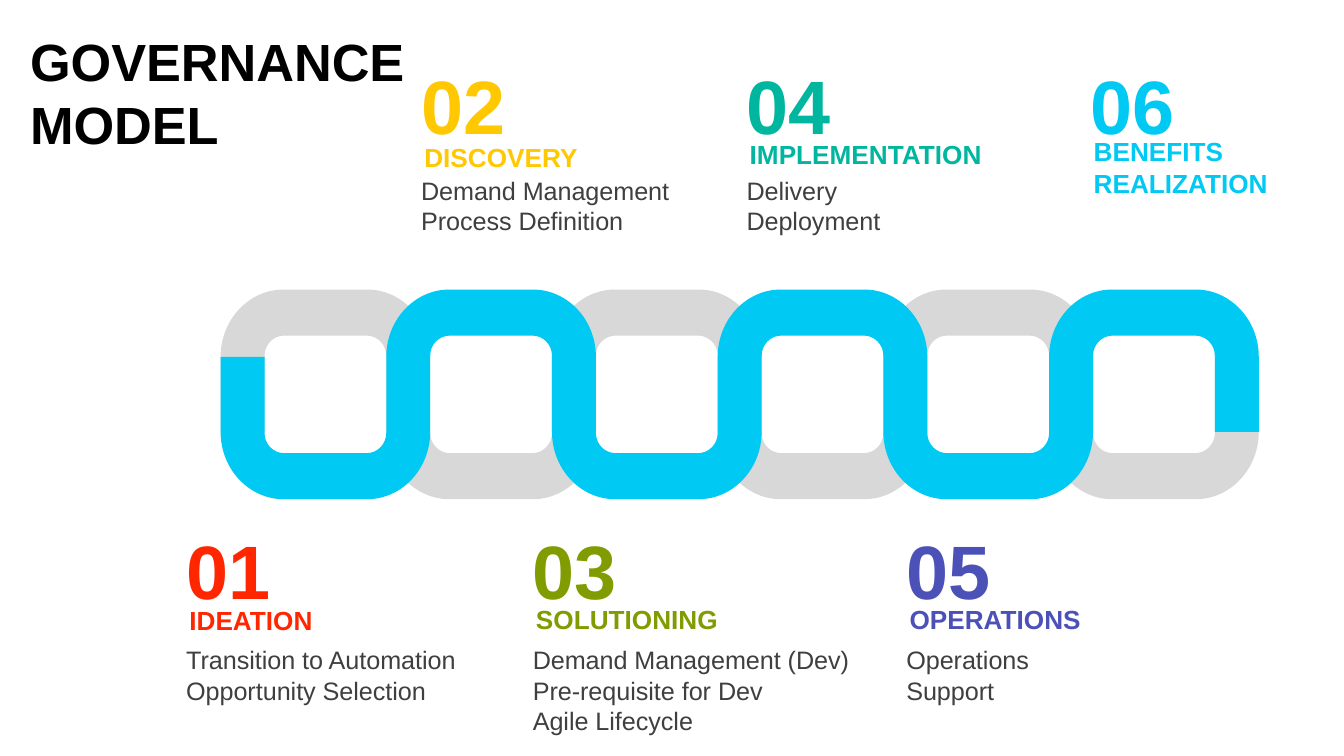
from lxml import etree
from pptx import Presentation
from pptx.dml.color import RGBColor
from pptx.enum.text import MSO_ANCHOR, MSO_AUTO_SIZE, PP_ALIGN
from pptx.oxml.ns import qn
from pptx.util import Cm, Pt

FONT = "Arial"
BLUE, GREY, DARK = "00C9F3", "D8D8D8", "3F3F3F"

# Each step: number, label, colour, body lines, left, body width, label width, label drop
UPPER_STEPS = [
    ("02", ["DISCOVERY"], "FFC801", ["Demand Management Process Definition"], 7.77, 5.36, 3.45, 1.53),
    ("04", ["IMPLEMENTATION"], "00B69F", ["Delivery", "Deployment"], 13.92, 4.45, 5.0, 1.47),
    ("06", ["BENEFITS", "REALIZATION"], BLUE, [], 20.42, 3.18, 3.86, 1.41),
]
LOWER_STEPS = [
    ("01", ["IDEATION"], "FF2600", ["Transition to Automation", "Opportunity Selection"],
     3.33, 5.66, 2.9, 1.48),
    ("03", ["SOLUTIONING"], "809C00",
     ["Demand Management (Dev)", "Pre-requisite for Dev", "Agile Lifecycle"], 9.88, 7.09, 3.96, 1.47),
    ("05", ["OPERATIONS"], "4C51B8", ["Operations", "Support"], 16.94, 4.45, 3.81, 1.47),
]


def colour(value):
    return RGBColor.from_string(value)


def write(box, lines, size, color, bold=False, inset=(0.19, 0.1), wrap=True):
    frame = box.text_frame
    frame.word_wrap = wrap
    frame.auto_size = MSO_AUTO_SIZE.NONE if wrap else MSO_AUTO_SIZE.SHAPE_TO_FIT_TEXT
    frame.vertical_anchor = MSO_ANCHOR.TOP
    frame.margin_left = frame.margin_right = Cm(inset[0])
    frame.margin_top = frame.margin_bottom = Cm(inset[1])
    for index, line in enumerate(lines):
        para = frame.add_paragraph() if index else frame.paragraphs[0]
        para.alignment = PP_ALIGN.LEFT
        para.line_spacing = 1.0
        para.space_before = para.space_after = Pt(0)
        span = para.add_run()
        span.text = line
        span.font.name = FONT
        span.font.size = Pt(size)
        span.font.bold = bold
        span.font.color.rgb = colour(color)


def add_text(page, left, top, width, height, lines, **style):
    box = page.shapes.add_textbox(Cm(left), Cm(top), Cm(width), Cm(height))
    write(box, lines, **style)


def add_title(page, left, top, width, height):
    title = page.shapes.title
    title.left, title.top, title.width, title.height = map(Cm, (left, top, width, height))
    write(title, ["GOVERNANCE", "MODEL"], size=28, color="000000", bold=True, inset=(0.25, 0.25))


def line_to(points, end):
    """Extend a chain of cubic curves by a straight stretch."""
    points += [points[-1], end, end]


def curve_to(points, corner, end):
    """Extend a chain of cubic curves by a quarter ellipse around a corner."""
    for anchor in (points[-1], end):
        points.append(tuple(a + 0.55 * (c - a) for a, c in zip(anchor, corner)))
    points.append(end)


def add_bend(points, left, right, edge, radius_x, radius_y, side):
    """Add a U from left to right; side is 1 for a U at the bottom, -1 at the top."""
    shoulder = edge - side * radius_y
    line_to(points, (left, shoulder))
    curve_to(points, (left, edge), (left + radius_x, edge))
    line_to(points, (right - radius_x, edge))
    curve_to(points, (right, edge), (right, shoulder))


def make_curves(shape):
    """Turn each three line segments of a freeform into one cubic curve."""
    lines = list(shape._element.iter(qn("a:lnTo")))
    for first, second, third in zip(lines[::3], lines[1::3], lines[2::3]):
        curve = etree.Element(qn("a:cubicBezTo"))
        first.addprevious(curve)
        for line in (first, second, third):
            curve.append(line[0])
            line.getparent().remove(line)


def add_band(page, left, top, width, height, color, first_side):
    """A ribbon weaving through six links, alternating bottom and top bends."""
    links, band_x, band_y, radius_y = 6, 0.83, 0.87, 1.27
    pitch = (width - band_x) / links
    near, far = top + radius_y, top + height - radius_y
    start, finish = (near, far) if first_side > 0 else (far, near)
    edges = [[(left, start)], [(left + band_x, start)]]
    side = first_side
    for link in range(links):
        x = left + link * pitch
        base = top + height if side > 0 else top
        add_bend(edges[link % 2], x, x + pitch + band_x, base, 1.19, radius_y, side)
        add_bend(edges[1 - link % 2], x + band_x, x + pitch, base - side * band_y, 0.37, 0.38, side)
        side = -side
    for edge in edges:
        line_to(edge, (edge[-1][0], finish))

    # One edge forward, the other one back
    outline, back = edges[0], edges[1][::-1]
    line_to(outline, back[0])
    outline = [(Cm(x), Cm(y)) for x, y in outline + back[1:]]

    builder = page.shapes.build_freeform(*outline[0])
    builder.add_line_segments(outline[1:], close=True)
    band = builder.convert_to_shape()
    make_curves(band)
    band.shadow.inherit = False
    band.fill.solid()
    band.fill.fore_color.rgb = colour(color)
    band.line.fill.background()


def add_step(page, top, body_drop, step):
    number, label, color, body, left, width, label_width, label_drop = step
    if body:
        add_text(page, left, top + body_drop, width, 1.93, body, size=13.5, color=DARK)
    add_text(page, left, top, width, 1.93, [number], size=40.5, color=color, bold=True)
    add_text(page, left, top + label_drop, label_width, 0.86 if len(label) == 1 else 1.45, label,
             size=14, color=color, bold=True, inset=(0.25, 0.13), wrap=False)


def main():
    deck = Presentation()
    deck.slide_width, deck.slide_height = Cm(25.4), Cm(14.28)
    page = deck.slides.add_slide(deck.slide_layouts[5])
    add_title(page, 0.32, 0.3, 8.15, 1.6)

    # Woven chain
    for color, first_side in ((GREY, -1), (BLUE, 1)):
        add_band(page, 4.17, 5.47, 19.62, 3.96, color, first_side)

    # Steps above and below the chain
    for top, body_drop, steps in ((1.02, 2.19, UPPER_STEPS), (9.8, 2.28, LOWER_STEPS)):
        for step in steps:
            add_step(page, top, body_drop, step)

    deck.save("out.pptx")


if __name__ == "__main__":
    main()
